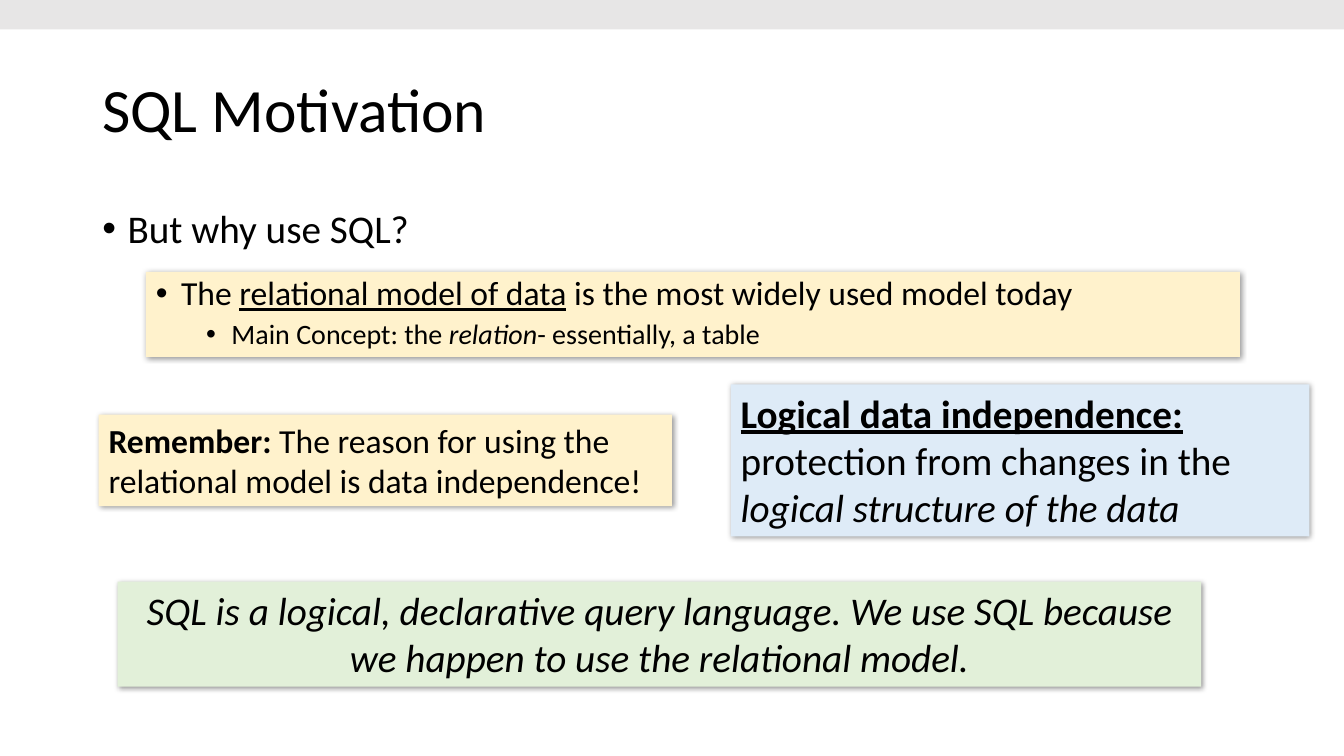
from dataclasses import dataclass

from lxml.etree import SubElement
from pptx import Presentation
from pptx.dml.color import RGBColor
from pptx.enum.shapes import MSO_SHAPE as Preset
from pptx.enum.text import MSO_ANCHOR as Anchor, PP_ALIGN as Align
from pptx.oxml.ns import qn
from pptx.util import Emu, Inches, Pt

PX = 9525
FONT = "Calibri"
BLACK = RGBColor(0x00, 0x00, 0x00)
GREY = RGBColor(0xE7, 0xE6, 0xE6)
YELLOW = RGBColor(0xFF, 0xF2, 0xCC)
BLUE = RGBColor(0xDE, 0xEB, 0xF7)
GREEN = RGBColor(0xE2, 0xF0, 0xD9)


@dataclass(frozen=True)
class Span:
    text: str
    bold: bool = False
    italic: bool = False
    underline: bool = False


@dataclass(frozen=True)
class Line:
    spans: tuple[Span, ...]
    size: int
    bullet_indent: float | None = None
    level: int = 0
    spacing: float = 1.0
    space_before: int = 0
    align: Align = Align.LEFT


@dataclass(frozen=True)
class Box:
    left: int
    top: int
    width: int
    height: int
    lines: tuple[Line, ...] = ()
    fill: RGBColor | None = None
    shadow: bool = False
    anchor: Anchor = Anchor.TOP


BOXES = (
    Box(88, 38, 1104, 139, (Line((Span("SQL Motivation"),), 44, spacing=0.9),), anchor=Anchor.MIDDLE),
    Box(88, 195, 1081, 384, (Line((Span("But why use SQL?"),), 28, 0.25, spacing=0.9),)),
    Box(139, 259, 1042, 81, (
        Line((
            Span("The "),
            Span("relational model of data", underline=True),
            Span(" is the most widely used model today"),
        ), 24, 0.25, spacing=0.9),
        Line((
            Span("Main Concept: the "),
            Span("relation", italic=True),
            Span("- essentially, a table"),
        ), 20, 0.75, level=1, spacing=0.9, space_before=5),
    ), YELLOW, True),
    Box(696, 366, 551, 145, (
        Line((
            Span("Logical data independence:", bold=True, underline=True),
            Span(" ", bold=True),
            Span("protection from changes in the "),
            Span("logical structure of the data", italic=True),
        ), 28),
    ), BLUE, True),
    Box(112, 554, 1032, 100, (
        Line((
            Span("SQL is a logical, declarative query language. We use SQL because "
                 "we happen to use the relational model.", italic=True),
        ), 28, align=Align.CENTER),
    ), GREEN, True),
    Box(94, 395, 546, 87, (
        Line((
            Span("Remember:", bold=True),
            Span(" The reason for using the relational model is data independence!"),
        ), 24),
    ), YELLOW, True),
    Box(0, 0, 1280, 28, fill=GREY),
)


def add_shadow(shape) -> None:
    effects = shape._element.spPr.find(qn("a:effectLst"))
    outer = SubElement(effects, qn("a:outerShdw"), blurRad=str(Pt(4)), dist=str(Pt(1)),
                       dir="2700000", algn="tl", rotWithShape="0")
    color = SubElement(outer, qn("a:srgbClr"), val=str(BLACK))
    SubElement(color, qn("a:alpha"), val="40000")


def add_bullet(paragraph, indent: float) -> None:
    properties = paragraph._p.get_or_add_pPr()
    properties.set("marL", str(Inches(indent)))
    properties.set("indent", str(-Inches(0.25)))
    SubElement(properties, qn("a:buFont"), typeface="Arial")
    SubElement(properties, qn("a:buChar"), char="•")


def write_line(paragraph, line: Line) -> None:
    if line.bullet_indent is not None:
        add_bullet(paragraph, line.bullet_indent)
    paragraph.level = line.level
    paragraph.alignment = line.align
    paragraph.line_spacing = line.spacing
    paragraph.space_before = Pt(line.space_before)
    paragraph.font.name = FONT
    paragraph.font.size = Pt(line.size)
    paragraph.font.color.rgb = BLACK
    for span in line.spans:
        run = paragraph.add_run()
        run.text = span.text
        run.font.bold = span.bold
        run.font.italic = span.italic
        run.font.underline = span.underline


def add_box(slide, box: Box) -> None:
    bounds = [Emu(value * PX) for value in (box.left, box.top, box.width, box.height)]
    if box.fill is None:
        shape = slide.shapes.add_textbox(*bounds)
    else:
        shape = slide.shapes.add_shape(Preset.RECTANGLE, *bounds)
        shape.fill.solid()
        shape.fill.fore_color.rgb = box.fill
        shape.line.fill.background()
        shape.shadow.inherit = False
    if box.shadow:
        add_shadow(shape)
    frame = shape.text_frame
    frame.word_wrap = True
    frame.vertical_anchor = box.anchor
    for index, line in enumerate(box.lines):
        paragraph = frame.add_paragraph() if index else frame.paragraphs[0]
        write_line(paragraph, line)


def main() -> None:
    presentation = Presentation()
    presentation.slide_width = Emu(1280 * PX)
    presentation.slide_height = Emu(720 * PX)
    slide = presentation.slides.add_slide(presentation.slide_layouts[6])
    for box in BOXES:
        add_box(slide, box)
    presentation.save("out.pptx")


if __name__ == "__main__":
    main()
